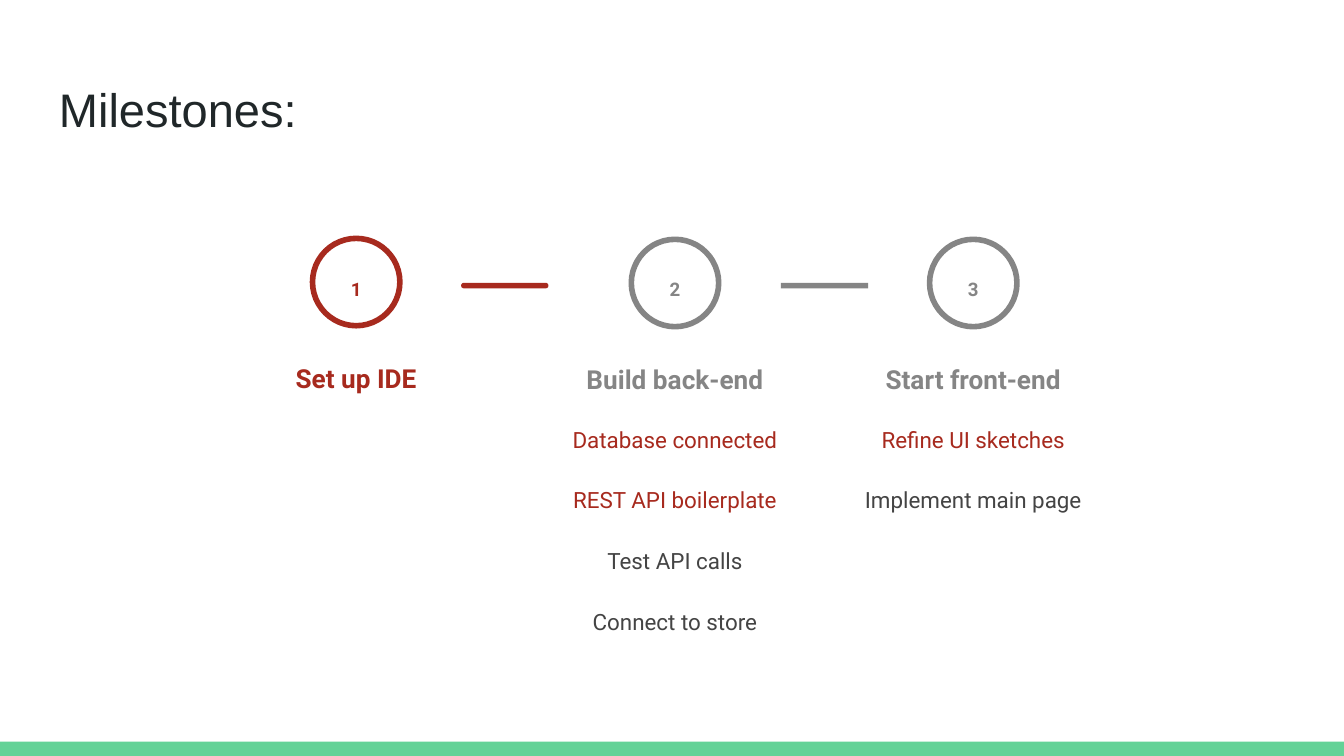
from dataclasses import dataclass

from pptx import Presentation
from pptx.dml.color import RGBColor
from pptx.enum.shapes import MSO_SHAPE
from pptx.enum.text import MSO_ANCHOR, PP_ALIGN
from pptx.util import Pt

RED = RGBColor(0xA7, 0x2A, 0x1E)
GRAY = RGBColor(0x85, 0x85, 0x85)
DARK = RGBColor(0x44, 0x44, 0x44)
INK = RGBColor(0x20, 0x27, 0x29)
GREEN = RGBColor(0x63, 0xD2, 0x97)
WHITE = RGBColor(0xFF, 0xFF, 0xFF)

CIRCLE = 46.8
INSET = 7.2


@dataclass(frozen=True)
class Line:
    text: str
    color: RGBColor


@dataclass(frozen=True)
class Milestone:
    number: str
    heading: str
    center: float
    top: float
    color: RGBColor
    tasks: tuple[Line, ...] = ()


@dataclass(frozen=True)
class Bar:
    left: float
    color: RGBColor
    rounding: float


MILESTONES = (
    Milestone("1", "Set up IDE", 190.8, 127.7, RED),
    Milestone("2", "Build back-end", 361.6, 128.2, GRAY, (
        Line("Database connected", RED),
        Line("REST API boilerplate", RED),
        Line("Test API calls", DARK),
        Line("Connect to store", DARK),
    )),
    Milestone("3", "Start front-end", 521.4, 128.2, GRAY, (
        Line("Refine UI sketches", RED),
        Line("Implement main page", DARK),
    )),
)
BARS = (Bar(247, RED, 0.5), Bar(418.3, GRAY, 0))


def add_text(page, left: float, top: float, width: float, height: float,
             lines: tuple[Line, ...], font: dict, paragraph: dict,
             anchor: MSO_ANCHOR = MSO_ANCHOR.TOP, gap: float = 0) -> None:
    """Write one paragraph per line, with a gap between paragraphs."""
    box = page.shapes.add_textbox(Pt(left), Pt(top), Pt(width), Pt(height))
    frame = box.text_frame
    frame.word_wrap = True
    frame.vertical_anchor = anchor
    for side in ("left", "top", "right", "bottom"):
        setattr(frame, f"margin_{side}", Pt(INSET))
    for index, line in enumerate(lines):
        para = frame.paragraphs[0] if index == 0 else frame.add_paragraph()
        for name, value in paragraph.items():
            setattr(para, name, value)
        para.space_before = Pt(gap if index else 0)
        span = para.add_run()
        span.text = line.text
        for name, value in font.items():
            setattr(span.font, name, value)
        span.font.color.rgb = line.color


def add_filled(page, kind: MSO_SHAPE, left: float, top: float,
               width: float, height: float, color: RGBColor):
    shape = page.shapes.add_shape(kind, Pt(left), Pt(top), Pt(width), Pt(height))
    shape.shadow.inherit = False
    shape.fill.solid()
    shape.fill.fore_color.rgb = color
    shape.line.fill.background()
    return shape


def add_milestone(page, item: Milestone) -> None:
    circle = page.shapes.add_shape(
        MSO_SHAPE.OVAL, Pt(item.center - CIRCLE / 2), Pt(item.top),
        Pt(CIRCLE), Pt(CIRCLE))
    circle.shadow.inherit = False
    circle.fill.background()
    circle.line.color.rgb = item.color
    circle.line.width = Pt(3)

    centered = {"alignment": PP_ALIGN.CENTER, "line_spacing": 1.15}
    bold = {"name": "Roboto", "bold": True}
    add_text(page, item.center - 67.3, item.top + 55.4, 134.6, 35.3,
             (Line(item.heading, item.color),), bold | {"size": Pt(14)},
             centered, MSO_ANCHOR.BOTTOM)
    if item.tasks:
        add_text(page, item.center - 74.9, 218.7, 149.8, 58.3, item.tasks,
                 {"name": "Roboto", "size": Pt(12)}, centered, gap=16)
    add_text(page, item.center - 17.3, 139.9, 34.6, 25.2,
             (Line(item.number, item.color),), bold | {"size": Pt(10)}, centered)


def main() -> None:
    deck = Presentation()
    deck.slide_width, deck.slide_height = Pt(720), Pt(405)
    page = deck.slides.add_slide(deck.slide_layouts[6])
    page.background.fill.solid()
    page.background.fill.fore_color.rgb = WHITE

    # Footer band and title
    add_filled(page, MSO_SHAPE.RECTANGLE, 0, 397.4, 720, 7.6, GREEN)
    add_text(page, 24.5, 35.3, 671, 45.4, (Line("Milestones:", INK),),
             {"name": "Arial", "size": Pt(25.2)},
             {"alignment": PP_ALIGN.LEFT}, MSO_ANCHOR.MIDDLE)

    # Milestones and the bars between them
    for item in MILESTONES:
        add_milestone(page, item)
    for bar in BARS:
        shape = add_filled(page, MSO_SHAPE.ROUNDED_RECTANGLE,
                           bar.left, 151.5, 46.8, 3, bar.color)
        shape.adjustments[0] = bar.rounding

    deck.save("out.pptx")


if __name__ == "__main__":
    main()
